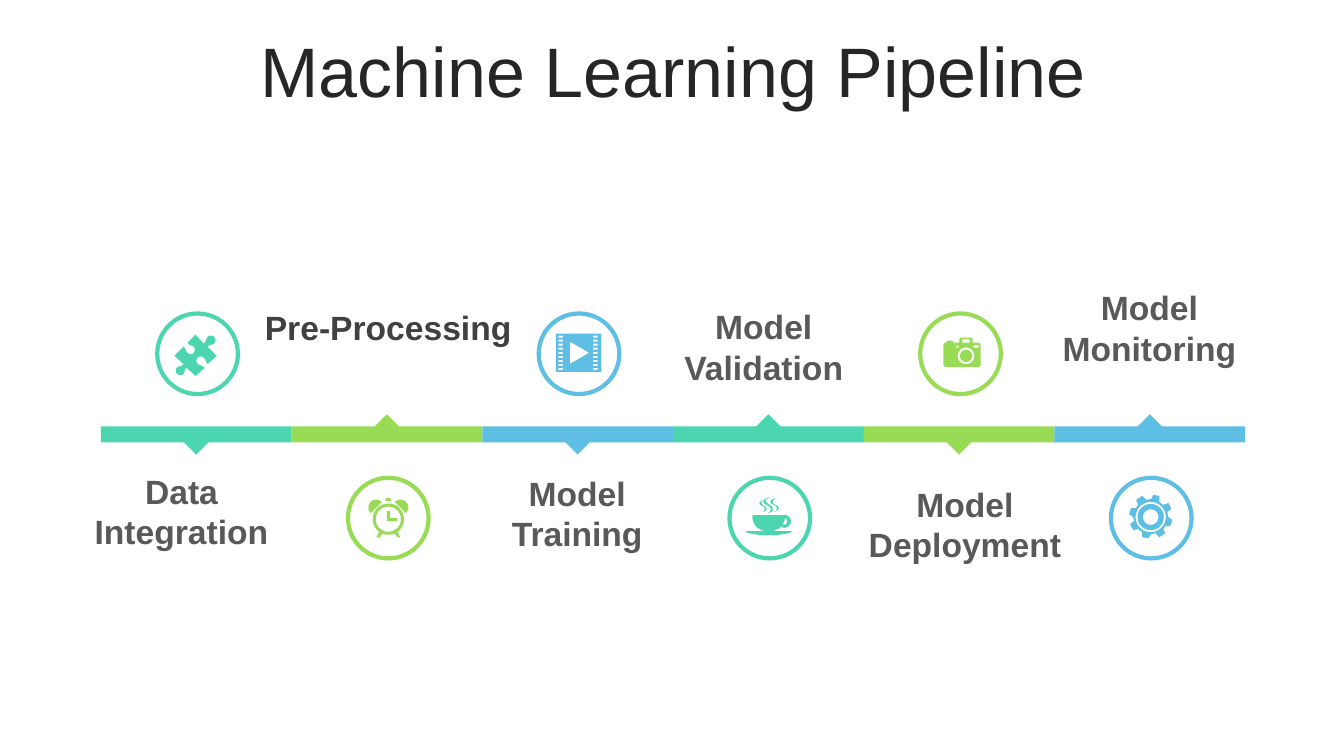
from math import cos, radians, sin

from pptx import Presentation
from pptx.dml.color import RGBColor
from pptx.enum.shapes import MSO_SHAPE
from pptx.enum.text import MSO_ANCHOR, MSO_AUTO_SIZE, PP_ALIGN
from pptx.util import Inches, Pt

COLORS = {
    "teal": "4CD6B0",
    "green": "98DC56",
    "blue": "5EBEE4",
    "title": "262626",
    "dark": "404040",
    "gray": "595959",
}
TITLE_FONT = {"name": "Arial", "size": Pt(50)}
LABEL_FONT = {"name": "Arial", "size": Pt(24), "bold": True}
TITLE_PARAGRAPH = {"alignment": PP_ALIGN.CENTER, "line_spacing": 0.8}
LABEL_PARAGRAPH = {"alignment": PP_ALIGN.CENTER}
TITLE_FRAME = {"word_wrap": True, "vertical_anchor": MSO_ANCHOR.MIDDLE}
LABEL_FRAME = {"word_wrap": True, "auto_size": MSO_AUTO_SIZE.SHAPE_TO_FIT_TEXT}

BADGE_SIZE = 0.8
CURVE_STEPS = 6
STAGES = [
    ("Data Integration", (0.55, 4.62, 2.5, 0.91), "gray", "teal", "puzzle"),
    ("Pre-Processing", (2.5, 3, 2.7, 0.5), "dark", "green", "clock"),
    ("Model Training", (4.93, 4.64, 1.59, 0.91), "gray", "blue", "film"),
    ("Model Validation", (6.63, 2.99, 1.89, 0.91), "gray", "teal", "cup"),
    ("Model Deployment", (8.51, 4.75, 2.12, 0.91), "gray", "green", "camera"),
    ("Model Monitoring", (10.34, 2.8, 2.12, 0.91), "gray", "blue", "gear"),
]


def rgb(name):
    """Return the named color."""
    return RGBColor.from_string(COLORS[name])


def apply_format(target, values):
    """Set each attribute in values on target."""
    for name, value in values.items():
        setattr(target, name, value)


def arc(x, y, radius, start=0, end=360):
    """Return points along an arc, with angles in degrees clockwise from the right."""
    steps = max(4, (end - start) // 8)
    angles = [radians(start + (end - start) * step / steps) for step in range(steps + 1)]
    return [(x + radius * cos(angle), y + radius * sin(angle)) for angle in angles]


def rectangle(left, top, width, height):
    """Return the corners of a rectangle."""
    right, bottom = left + width, top + height
    return [(left, top), (right, top), (right, bottom), (left, bottom)]


def trace(outline):
    """Return points for an outline of x,y lines and six-number cubic curves."""
    points = []
    for part in outline.split():
        numbers = [float(number) for number in part.split(",")]
        pairs = list(zip(numbers[::2], numbers[1::2]))
        if len(pairs) == 1:
            points += pairs
            continue
        controls = [points[-1], *pairs]
        for step in range(1, CURVE_STEPS + 1):
            t = step / CURVE_STEPS
            weights = ((1 - t) ** 3, 3 * t * (1 - t) ** 2, 3 * t * t * (1 - t), t ** 3)
            points.append(tuple(
                sum(weight * control[axis] for weight, control in zip(weights, controls))
                for axis in (0, 1)
            ))
    return points


def puzzle_icon():
    """Return the contours of a puzzle piece."""
    return [trace(
        "56,23 58,25,58,27,57,29 55,32,52,30,50,33 59,42 50,50 47,48,49,45,46,44 "
        "44,42,42,42,40,44 39,45,38,48,40,50 43,52,44,51,47,54 38,62 29,54 "
        "26,56,28,57,26,60 24,62,21,61,20,60 18,59,18,56,19,54 21,52,24,53,26,50 "
        "17,42 26,33 29,35,28,38,30,39 32,41,35,41,36,39 37,38,38,35,36,33 "
        "33,31,32,32,30,29 38,21 46,30 49,27,48,26,50,23 52,21,55,22,56,23"
    )]


def clock_icon():
    """Return the contours of an alarm clock."""
    body = arc(40, 41, 15.5, 125, 415) + trace("52,59 49,59")
    body += arc(40, 41, 15.5, 67, 113) + trace("32,59 28,59")
    return [
        body,
        arc(40, 41, 12.5),
        trace("38.5,33 41.5,33 41.5,40 49,40 49,43 38.5,43"),
        arc(28, 29.5, 7.8, 135, 315),
        arc(52, 29.5, 7.8, 225, 405),
        trace("37,23 37,21,38,20,39,20 41,20 42,20,43,21,43,23"),
    ]


def film_icon():
    """Return the contours of a film frame with a play sign."""
    holes = [rectangle(left, 22 + 4 * row, 4.5, 2) for row in range(9) for left in (19.5, 54)]
    return [rectangle(17, 20, 45, 38), trace("31,28 31,50 50,39"), *holes]


def cup_icon():
    """Return the contours of a steaming cup."""
    outlines = [
        "55,37 58,37,60,39,61,42 61,45,60,48,57,49 55,50,53,50,51,48 50,50,49,51,47,51 "
        "46,52,45,52,44,53 62,53 62,55,51,57,39,57 26,57,16,55,16,53 34,53 "
        "33,52,31,52,30,51 25,48,22,43,23,37",
        "55,40 55,42,54,44,53,46 54,46,55,47,56,46 57,45,58,44,57,42 57,41,56,40,55,40",
        "34,22 33,23,31,23,32,25 32,28,37,28,37,31 36,33,35,33,33,34 34,33,35,32,35,30 "
        "35,28,31,28,30,26 29,24,31,23,34,22",
        "40,19 38,21,36,21,36,23 37,27,44,27,43,31 43,34,42,34,38,35 40,34,41,33,41,31 "
        "41,28,36,27,34,25 33,22,35,21,40,19",
        "46,20 44,22,43,22,43,24 43,27,49,27,49,30 48,32,47,33,44,34 46,33,47,32,47,30 "
        "47,27,43,27,41,25 40,23,42,21,46,20",
    ]
    return [trace(outline) for outline in outlines]


def camera_icon():
    """Return the contours of a camera."""
    body = trace(
        "40,24 51,24 52,25 52,29 57,29 59,29,60,30,60,32 60,50 60,52,59,53,57,53 26,53 "
        "24,53,23,52,23,50 23,32 23,30,24,29,26,29 26,28 27,27 32,27 33,28 33,29 39,29 39,25"
    )
    windows = [rectangle(36, 32, 2, 2), rectangle(53, 31.5, 5, 2.5), rectangle(42, 25.5, 7, 3.5)]
    return [body, arc(45.5, 42, 8.3), arc(45.5, 42, 6), *windows]


def gear_icon():
    """Return the contours of a gear."""
    teeth = trace(
        "48,18 48,24 52,27 57,25 60,31 56,34 57,39 61,42 59,48 54,48 52,51 54,55 48,59 "
        "44,55 40,56 37,60 31,59 31,54 27,51 22,52 19,46 23,43 22,39 18,36 20,30 25,30 "
        "27,27 25,22 31,18 35,22 40,21 42,17"
    )
    return [teeth, *(arc(39.5, 39, radius) for radius in (15, 13, 7.7))]


ICONS = {
    "puzzle": puzzle_icon,
    "clock": clock_icon,
    "film": film_icon,
    "cup": cup_icon,
    "camera": camera_icon,
    "gear": gear_icon,
}


def add_outline(slide, contours, left, top, color):
    """Fill contours given in hundredths of an inch from the left and top."""
    placed = [
        [(Inches(left + x / 100), Inches(top + y / 100)) for x, y in contour]
        for contour in contours
    ]
    builder = slide.shapes.build_freeform(*placed[0][0])
    builder.add_line_segments(placed[0][1:])
    for contour in placed[1:]:
        builder.move_to(*contour[0])
        builder.add_line_segments(contour[1:])
    shape = builder.convert_to_shape()
    shape.shadow.inherit = False
    shape.fill.solid()
    shape.fill.fore_color.rgb = rgb(color)
    shape.line.fill.background()


def add_text(slide, text, box, color, frame_format, paragraph_format, font_format):
    """Add a formatted text box."""
    frame = slide.shapes.add_textbox(*map(Inches, box)).text_frame
    apply_format(frame, frame_format)
    paragraph = frame.paragraphs[0]
    apply_format(paragraph, paragraph_format)
    run = paragraph.add_run()
    run.text = text
    apply_format(run.font, font_format)
    run.font.color.rgb = rgb(color)


def add_segment(slide, left, top, width, color, points_down):
    """Add a timeline segment with a pointer toward its label."""
    length, middle = width * 100, width * 50
    points = [(0, 0), (length, 0), (length, 16), (middle + 12, 16),
              (middle, 28), (middle - 12, 16), (0, 16)]
    contour = points if points_down else [(x, 16 - y) for x, y in points]
    add_outline(slide, [contour], left, top, color)


def add_badge(slide, left, top, color, icon):
    """Add a ringed icon."""
    ring = slide.shapes.add_shape(
        MSO_SHAPE.OVAL, *map(Inches, (left, top, BADGE_SIZE, BADGE_SIZE)))
    ring.shadow.inherit = False
    ring.fill.background()
    ring.line.color.rgb = rgb(color)
    ring.line.width = Pt(3)
    add_outline(slide, ICONS[icon](), left, top, color)


def add_timeline(slide, left, top, width):
    """Add the stages of the pipeline along a horizontal bar."""
    step = width / len(STAGES)
    for index, (label, box, label_color, color, icon) in enumerate(STAGES):
        start = left + index * step
        points_down = index % 2 == 0
        add_segment(slide, start, top, step, color, points_down)
        badge_top = top - 1.12 if points_down else top + 0.51
        add_badge(slide, start + 0.56, badge_top, color, icon)
        add_text(slide, label, box, label_color, LABEL_FRAME, LABEL_PARAGRAPH, LABEL_FONT)


def main():
    """Build and save the presentation."""
    presentation = Presentation()
    presentation.slide_width, presentation.slide_height = Inches(13.33), Inches(7.5)
    slide = presentation.slides.add_slide(presentation.slide_layouts[6])
    add_text(slide, "Machine Learning Pipeline", (0.35, 0.37, 12.66, 0.79), "title",
             TITLE_FRAME, TITLE_PARAGRAPH, TITLE_FONT)
    add_timeline(slide, 1, 4.23, 11.35)
    presentation.save("out.pptx")


if __name__ == "__main__":
    main()
